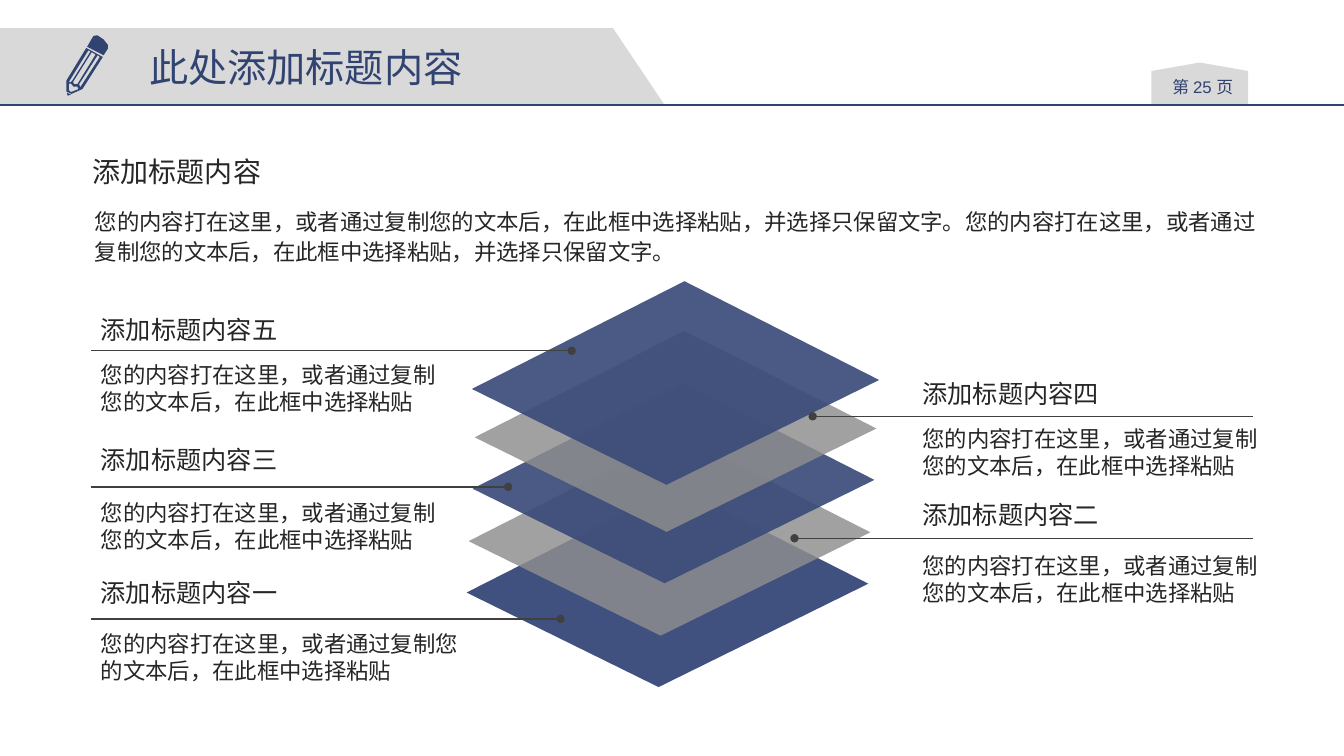
from lxml import etree
from pptx import Presentation
from pptx import util as u
from pptx.dml.color import RGBColor
from pptx.enum import shapes, text
from pptx.oxml import ns

W, H = 13.33, 7.5
C = {"navy": "314371", "sheet": "3B4C7A", "base": "40507F", "ash": "8E8E8E",
     "panel": "D9D9D9", "rule": "404040", "ink": "262626"}
CJK = "Noto Sans CJK SC"
SNIPPET = "您的内容打在这里，或者通过复制您的文本后，在此框中选择粘贴"
INTRO = SNIPPET + "，并选择只保留文字。"
INSETS = (0.13, 0.07)


def rgb(name):
    return RGBColor.from_string(C[name])


def sub(parent, tag, **attrs):
    return etree.SubElement(parent, ns.qn(tag), attrs)


def place(sp, box):
    for name, value in zip(("left", "top", "width", "height"), box):
        setattr(sp, name, u.Inches(value))


def paint(sp, color, alpha=100):
    sp.shadow.inherit = False
    sp.fill.solid()
    sp.fill.fore_color.rgb = rgb(color)
    sp.line.fill.background()
    if alpha < 100:
        clr = sp.element.spPr.find(ns.qn("a:solidFill"))[0]
        sub(clr, "a:alpha", val=str(alpha * 1000))


def polygon(s, contours, color, alpha=100):
    rings = [[(u.Inches(x), u.Inches(y)) for x, y in ring] for ring in contours]
    fb = s.shapes.build_freeform(*rings[0][0])
    fb.add_line_segments(rings[0][1:], close=True)
    for ring in rings[1:]:
        fb.move_to(*ring[0])
        fb.add_line_segments(ring[1:], close=True)
    paint(fb.convert_to_shape(), color, alpha)


def line(s, start, end, color, dot=False):
    cn = s.shapes.add_connector(shapes.MSO_CONNECTOR.STRAIGHT,
                                *map(u.Inches, start + end))
    cn.line.color.rgb = rgb(color)
    cn.line.width = u.Pt(1)
    if dot:
        sub(cn.line._get_or_add_ln(), "a:headEnd", type="oval")
    sub(cn.element.spPr, "a:effectLst")


def write(sp, runs, size, color="ink", insets=INSETS, wrap=True,
          align=text.PP_ALIGN.LEFT, spacing=1.0):
    tf = sp.text_frame
    frame = {"word_wrap": wrap, "auto_size": text.MSO_AUTO_SIZE.NONE,
             "vertical_anchor": text.MSO_ANCHOR.TOP,
             "margin_left": u.Inches(insets[0]), "margin_right": u.Inches(insets[0]),
             "margin_top": u.Inches(insets[1]), "margin_bottom": u.Inches(insets[1])}
    for name, value in frame.items():
        setattr(tf, name, value)
    p = tf.paragraphs[0]
    for name, value in {"alignment": align, "line_spacing": spacing,
                        "space_before": u.Pt(0)}.items():
        setattr(p, name, value)
    for content, font in runs:
        r = p.add_run()
        r.text = content
        for name, value in {"size": u.Pt(size), "name": font, "bold": False}.items():
            setattr(r.font, name, value)
        r.font.color.rgb = rgb(color)
        sub(r.font._element, "a:ea", typeface=font)
    return p


def label(s, box, content, size, **style):
    sp = s.shapes.add_textbox(*map(u.Inches, box))
    write(sp, [(content, CJK)], size, **style)


def pencil(s, box):
    x, y, w, h = box
    cap = [(0.6, 0.08), (0.66, 0.01), (0.75, 0), (0.9, 0.07), (1, 0.16),
           (1, 0.22), (0.9, 0.33), (0.51, 0.19)]
    body = [(0.02, 0.75), (0.49, 0.21), (0.88, 0.36), (0.4, 0.89),
            (0.14, 0.97), (0.02, 0.93)]
    stripes = [[(0.08, 0.77), (0.54, 0.25), (0.59, 0.27), (0.16, 0.75), (0.12, 0.78)],
               [(0.18, 0.77), (0.62, 0.28), (0.71, 0.32), (0.28, 0.81), (0.2, 0.81)],
               [(0.32, 0.81), (0.76, 0.33), (0.81, 0.36), (0.35, 0.86)],
               [(0.08, 0.91), (0.08, 0.8), (0.13, 0.8), (0.19, 0.85),
                (0.28, 0.85), (0.31, 0.89), (0.13, 0.94)]]
    tip = [(0.13, 0.98), (0.03, 0.95), (0.05, 1)]
    for rings in ([cap], [body] + stripes, [tip]):
        polygon(s, [[(x + a * w, y + b * h) for a, b in ring] for ring in rings], "navy")


def header(s, box):
    x, y, w, h = box
    base = y + h
    polygon(s, [[(x, y), (x + 6.08, y), (x + 6.59, base), (x, base)]], "panel")
    tab = s.shapes.add_shape(shapes.MSO_SHAPE.FLOWCHART_OFFPAGE_CONNECTOR,
                             *map(u.Inches, (11.42, base - 0.42, 0.96, 0.42)))
    tab.rotation = 180
    paint(tab, "panel")
    page = s.shapes.add_textbox(*map(u.Inches, (11.48, base - 0.32, 0.9, 0.3)))
    write(page, [("第 ", CJK), ("25 ", "Arial"), ("页", CJK)], 12, "navy",
          (0.07, 0.04), align=text.PP_ALIGN.CENTER)
    line(s, (x, base), (x + w, base), "navy")
    pencil(s, (0.65, y + 0.07, 0.42, 0.6))
    title = s.shapes.title
    place(title, (1.38, y + 0.1, 3.6, 0.57))
    write(title, [("此处添加标题内容", CJK)], 28, "navy", (0.1, 0.05), wrap=False)
    title.element.getparent().append(title.element)


def intro(s, box):
    x, y, w, h = box
    label(s, (x - 0.02, y, 1.95, 0.47), "添加标题内容", 20, wrap=False)
    body = s.placeholders[1]
    place(body, (x, y + 0.51, w, h - 0.51))
    p = write(body, [(INTRO + INTRO, CJK)], 16, spacing=1.1)
    pPr = p._p.get_or_add_pPr()
    pPr.set("marL", "0")
    pPr.set("indent", "0")
    sub(pPr, "a:buNone")
    body.element.getparent().append(body.element)


def stack(s, layers):
    corners = [(0.03, -0.34), (0.68, -0.01), (-0.03, 0.34), (-0.68, 0.02)]
    for cx, cy, size, color, alpha in layers:
        polygon(s, [[(cx + a * size, cy + b * size) for a, b in corners]], color, alpha)


def callout(s, heading, box, rule_y, dot_x, body_y):
    x, y, w, h = box
    outer = 0.9 if x < W / 2 else 12.43
    line(s, (dot_x, rule_y), (outer, rule_y), "rule", dot=True)
    label(s, (x, y, 2.5, h), heading, 18)
    label(s, (x, body_y, w, 0.67), SNIPPET, 16)


def main():
    prs = Presentation()
    prs.slide_width, prs.slide_height = u.Inches(W), u.Inches(H)
    s = prs.slides.add_slide(prs.slide_layouts[1])
    header(s, (0, 0.28, W, 0.76))
    intro(s, (0.81, 1.46, 11.84, 1.24))
    stack(s, [(6.62, 5.82, 2.93, "base", 100), (6.64, 5.31, 2.93, "ash", 83),
              (6.68, 4.79, 2.93, "sheet", 92), (6.7, 4.28, 2.93, "ash", 83),
              (6.7, 3.8, 2.97, "sheet", 92)])
    left, right = 0.87, 9.02
    for number, x, y, w, rule_y, dot_x, body_y in [
            ("五", left, 3.05, 3.61, 3.48, 5.67, 3.51),
            ("四", right, 3.68, 3.64, 4.13, 8.06, 4.15),
            ("三", left, 4.34, 3.61, 4.83, 5.04, 4.88),
            ("二", right, 4.88, 3.64, 5.34, 7.88, 5.41),
            ("一", left, 5.66, 3.82, 6.14, 5.56, 6.18)]:
        callout(s, "添加标题内容" + number, (x, y, w, 0.45), rule_y, dot_x, body_y)
    prs.save("out.pptx")


if __name__ == "__main__":
    main()
